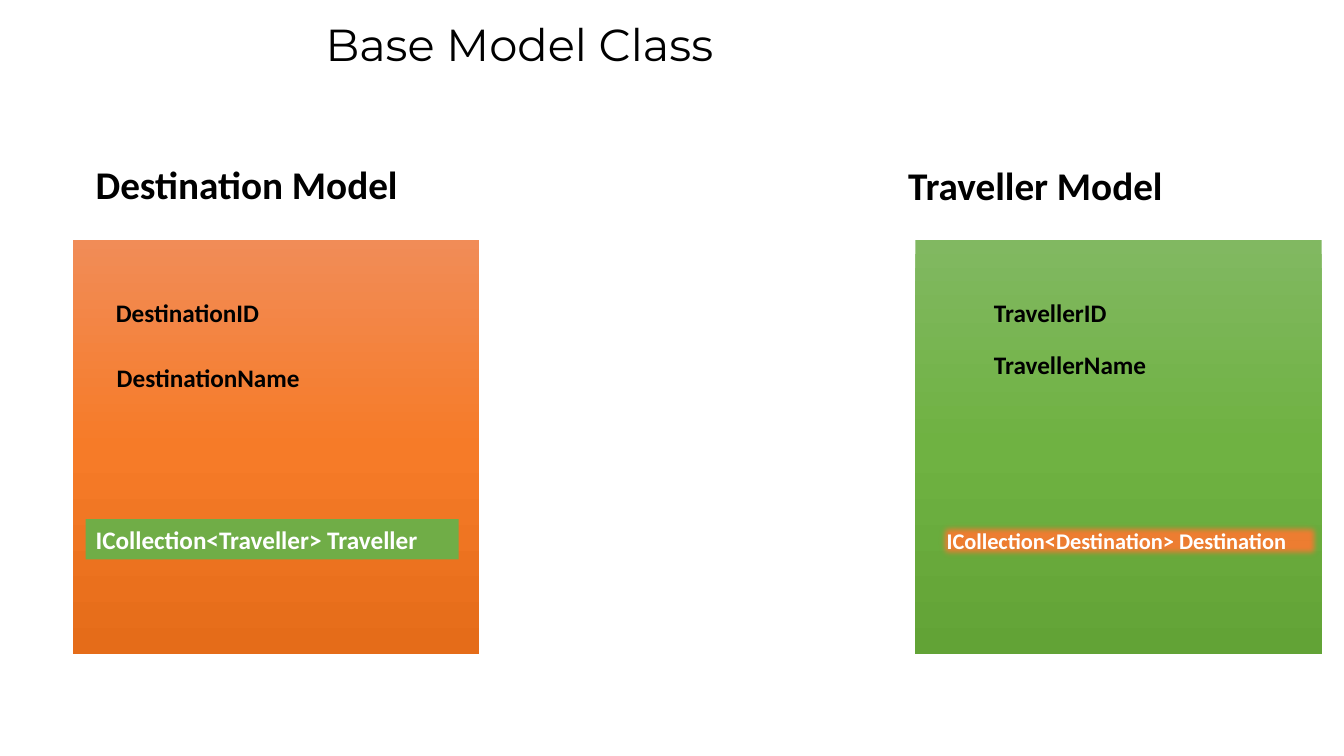
from copy import deepcopy

from lxml import etree
from pptx import Presentation
from pptx.dml.color import RGBColor
from pptx.enum.shapes import MSO_SHAPE
from pptx.enum.text import MSO_ANCHOR, PP_ALIGN
from pptx.oxml.ns import qn
from pptx.util import Pt

RECT = MSO_SHAPE.RECTANGLE
MIDDLE = MSO_ANCHOR.MIDDLE
LEFT = PP_ALIGN.LEFT
PX = 9144

THEME = {
    "title_font": "Montserrat", "body_font": "Calibri",
    "title": 32, "heading": 28, "field": 18, "small": 16,
    "text": "000000", "light": "FFFFFF",
    "orange": "ED7D31", "green": "70AD47",
    "orange_gradient": ["F18C57", "F67B28", "E56C19"],
    "green_gradient": ["81B861", "6FB242", "62A336"],
}


def add_rect(x, y, w, h):
    sp = slide.shapes.add_shape(RECT, x * PX, y * PX, w * PX, h * PX)
    sp.shadow.inherit = False
    sp.line.fill.background()
    return sp


def set_text(sp, text, size, color="text", font="body_font", bold=True):
    tf = sp.text_frame
    tf.word_wrap = True
    p = tf.paragraphs[0]
    p.text = text
    p.alignment = LEFT
    p.font.name = THEME[font]
    p.font.size = Pt(THEME[size])
    p.font.bold = bold
    p.font.color.rgb = RGBColor.from_string(THEME[color])


prs = Presentation()
prs.slide_width = 1333 * PX
prs.slide_height = 750 * PX
slide = prs.slides.add_slide(prs.slide_layouts[6])

title = slide.shapes.add_textbox(313 * PX, 12 * PX, 768 * PX, 64 * PX)
set_text(title, "Base Model Class", "title", font="title_font", bold=False)

for x, gradient in [(72, "orange_gradient"), (908, "green_gradient")]:
    card = add_rect(x, 238, 403, 411)
    card.fill.gradient()
    card.fill.gradient_angle = 270
    first = card._element.spPr.find(".//" + qn("a:gs"))
    first.addnext(deepcopy(first))
    for i, stop in enumerate(card.fill.gradient_stops):
        stop.position = i / 2
        stop.color.rgb = RGBColor.from_string(THEME[gradient][i])

labels = [
    ("Destination Model", "heading", 85, 154, 350, 57),
    ("Traveller Model", "heading", 891, 155, 337, 57),
    ("DestinationID", "field", 105, 290, 267, 40),
    ("DestinationName", "field", 106, 355, 267, 40),
    ("TravellerID", "field", 976, 290, 267, 40),
    ("TravellerName", "field", 976, 342, 267, 40),
]
for text, size, x, y, w, h in labels:
    box = slide.shapes.add_textbox(x * PX, y * PX, w * PX, h * PX)
    set_text(box, text, size)

collections = [
    ("ICollection<Traveller> Traveller", "field", "green", 85, 515, 370, 0),
    ("ICollection<Destination> Destination", "small", "orange", 929, 516, 383, 7),
]
for text, size, color, x, y, w, soft_edge in collections:
    bar = add_rect(x, y, w, 40)
    bar.fill.solid()
    bar.fill.fore_color.rgb = RGBColor.from_string(THEME[color])
    bar.text_frame.vertical_anchor = MIDDLE
    set_text(bar, text, size, "light")
    if soft_edge:
        effects = bar._element.spPr.find(qn("a:effectLst"))
        etree.SubElement(effects, qn("a:softEdge"), rad=str(soft_edge * PX))

prs.save("out.pptx")
